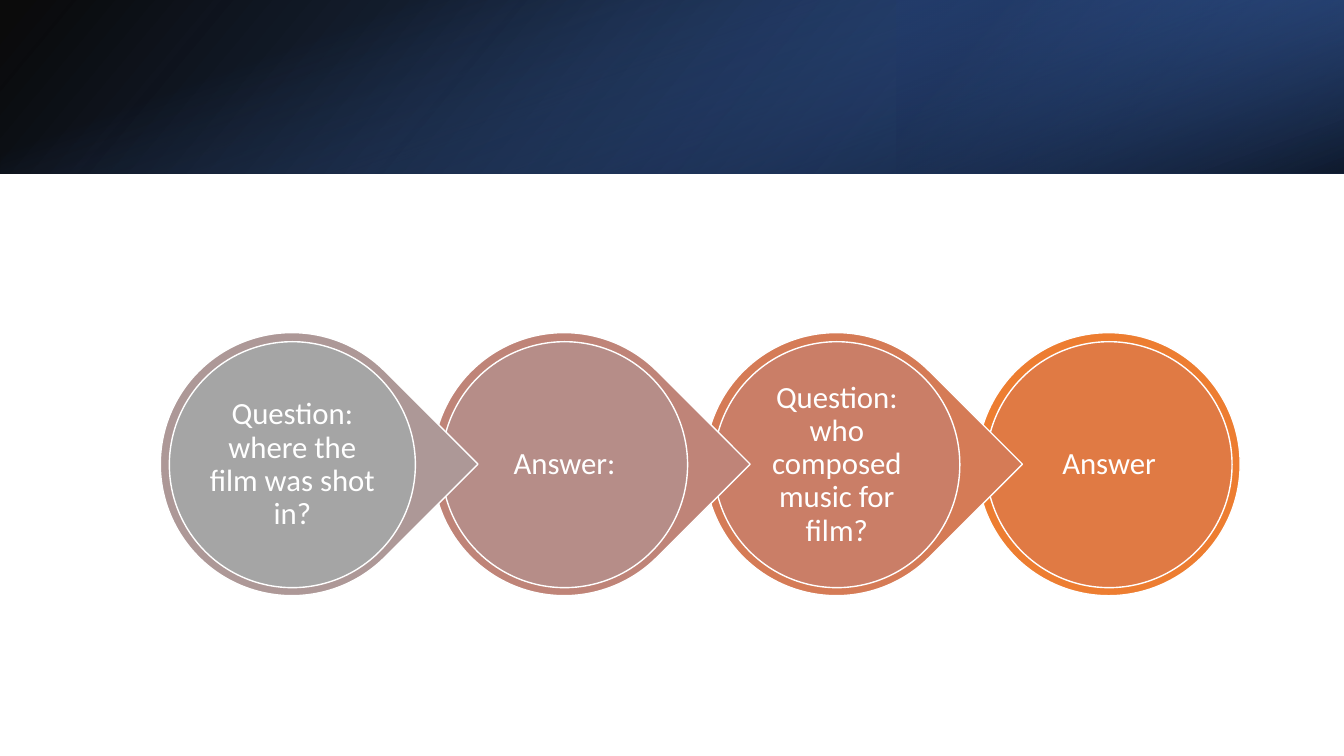
from dataclasses import dataclass

from lxml import etree
from pptx import Presentation
from pptx.dml.color import RGBColor
from pptx.enum.shapes import MSO_SHAPE as Shape
from pptx.enum.text import MSO_ANCHOR as Anchor, PP_ALIGN as Align
from pptx.oxml.ns import qn
from pptx.util import Inches, Pt

SLIDE_W, SLIDE_H, BAND_H = 13.33, 7.5, 1.72
FIRST_LEFT, STEP = 1.59, 2.7
DROP_TOP, DROP_SIZE = 3.3, 2.61
DISC_INSET, DISC_SIZE = 0.09, 2.44
LABEL_INSET, LABEL_SIZE = 0.44, 1.74


@dataclass
class Stop:
    pos: int
    color: str
    alpha: int


@dataclass
class Band:
    left: float
    top: float
    width: float
    height: float
    rotation: int
    flipped: bool
    angle: int
    stops: tuple[Stop, Stop]


@dataclass
class Step:
    text: str
    outer: str
    inner: str


BANDS = [
    Band(0, 0, SLIDE_W, BAND_H, 0, True, 140,
         (Stop(0, "000000", 96), Stop(100, "2F5597", 100))),
    Band(8.89, 0, 4.44, BAND_H, 180, True, 320,
         (Stop(19, "203864", 68), Stop(100, "4472C4", 79))),
    Band((SLIDE_W - BAND_H) / 2, (BAND_H - SLIDE_W) / 2, BAND_H, SLIDE_W, 90, False, 340,
         (Stop(23, "4472C4", 0), Stop(99, "000000", 74))),
]

STEPS = [
    Step("Question: where the film was shot in?", "AD9897", "A5A5A5"),
    Step("Answer:", "BF8478", "B68D88"),
    Step("Question: who composed music for film?", "D57B56", "CA7E67"),
    Step("Answer", "ED7D31", "E07A44"),
]


def rgb(color: str) -> RGBColor:
    return RGBColor.from_string(color)


def add_filled(shapes, kind: Shape, left: float, top: float,
               width: float, height: float, color: str):
    sp = shapes.add_shape(kind, Inches(left), Inches(top), Inches(width), Inches(height))
    sp.shadow.inherit = False
    sp.fill.solid()
    sp.fill.fore_color.rgb = rgb(color)
    sp.line.color.rgb = rgb("FFFFFF")
    sp.line.width = Pt(1)
    return sp


def set_gradient(sp, band: Band) -> None:
    grad = etree.Element(qn("a:gradFill"), rotWithShape="1")
    stops = etree.SubElement(grad, qn("a:gsLst"))
    for stop in band.stops:
        gs = etree.SubElement(stops, qn("a:gs"), pos=str(stop.pos * 1000))
        color = etree.SubElement(gs, qn("a:srgbClr"), val=stop.color)
        etree.SubElement(color, qn("a:alpha"), val=str(stop.alpha * 1000))
    etree.SubElement(grad, qn("a:lin"), ang=str(band.angle * 60000), scaled="0")
    props = sp._element.spPr
    props.replace(props.find(qn("a:solidFill")), grad)


def add_band(shapes, band: Band) -> None:
    sp = add_filled(shapes, Shape.RECTANGLE, band.left, band.top,
                    band.width, band.height, band.stops[0].color)
    sp.line.fill.background()
    sp.rotation = band.rotation
    if band.flipped:
        sp._element.spPr.find(qn("a:xfrm")).set("flipH", "1")
    set_gradient(sp, band)


def add_label(shapes, text: str, left: float, top: float) -> None:
    box = shapes.add_textbox(Inches(left), Inches(top), Inches(LABEL_SIZE), Inches(LABEL_SIZE))
    tf = box.text_frame
    tf.word_wrap = True
    tf.vertical_anchor = Anchor.MIDDLE
    tf.margin_left = tf.margin_right = tf.margin_top = tf.margin_bottom = Inches(0.03)
    tf.text = text
    p = tf.paragraphs[0]
    p.alignment = Align.CENTER
    p.line_spacing = 0.9
    font = p.runs[0].font
    font.name = "Calibri"
    font.size = Pt(22)
    font.color.rgb = rgb("FFFFFF")


def add_step(shapes, step: Step, left: float, is_last: bool) -> None:
    kind = Shape.OVAL if is_last else Shape.TEAR
    drop = add_filled(shapes, kind, left, DROP_TOP, DROP_SIZE, DROP_SIZE, step.outer)
    drop.rotation = 0 if is_last else 45
    add_filled(shapes, Shape.OVAL, left + DISC_INSET, DROP_TOP + DISC_INSET,
               DISC_SIZE, DISC_SIZE, step.inner)
    add_label(shapes, step.text, left + LABEL_INSET, DROP_TOP + LABEL_INSET)


def main() -> None:
    prs = Presentation()
    prs.slide_width = Inches(SLIDE_W)
    prs.slide_height = Inches(SLIDE_H)
    slide = prs.slides.add_slide(prs.slide_layouts[6])
    for band in BANDS:
        add_band(slide.shapes, band)
    process = slide.shapes.add_group_shape()
    last = len(STEPS) - 1
    for i, step in reversed(list(enumerate(STEPS))):
        add_step(process.shapes, step, FIRST_LEFT + i * STEP, i == last)
    prs.save("out.pptx")


if __name__ == "__main__":
    main()
